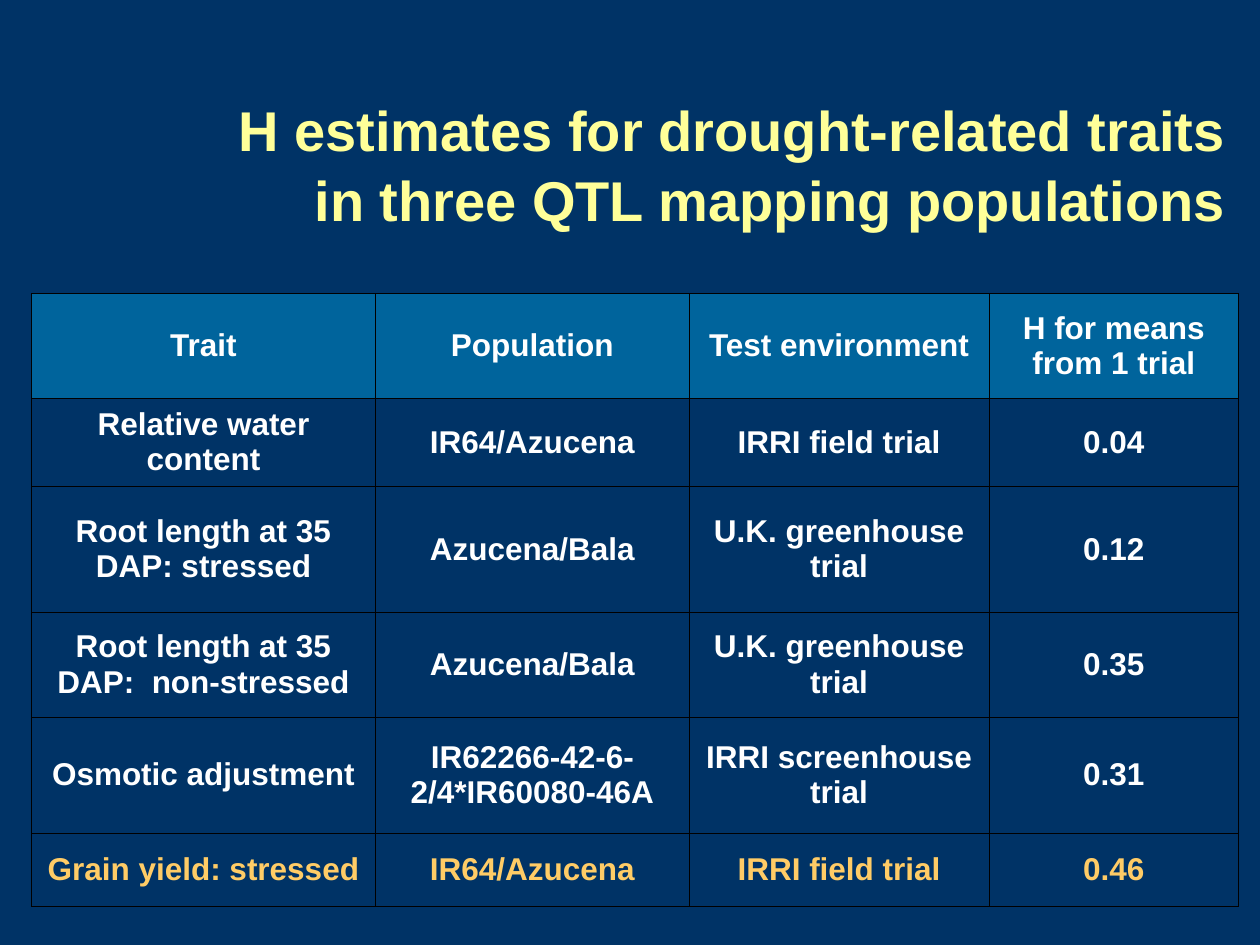
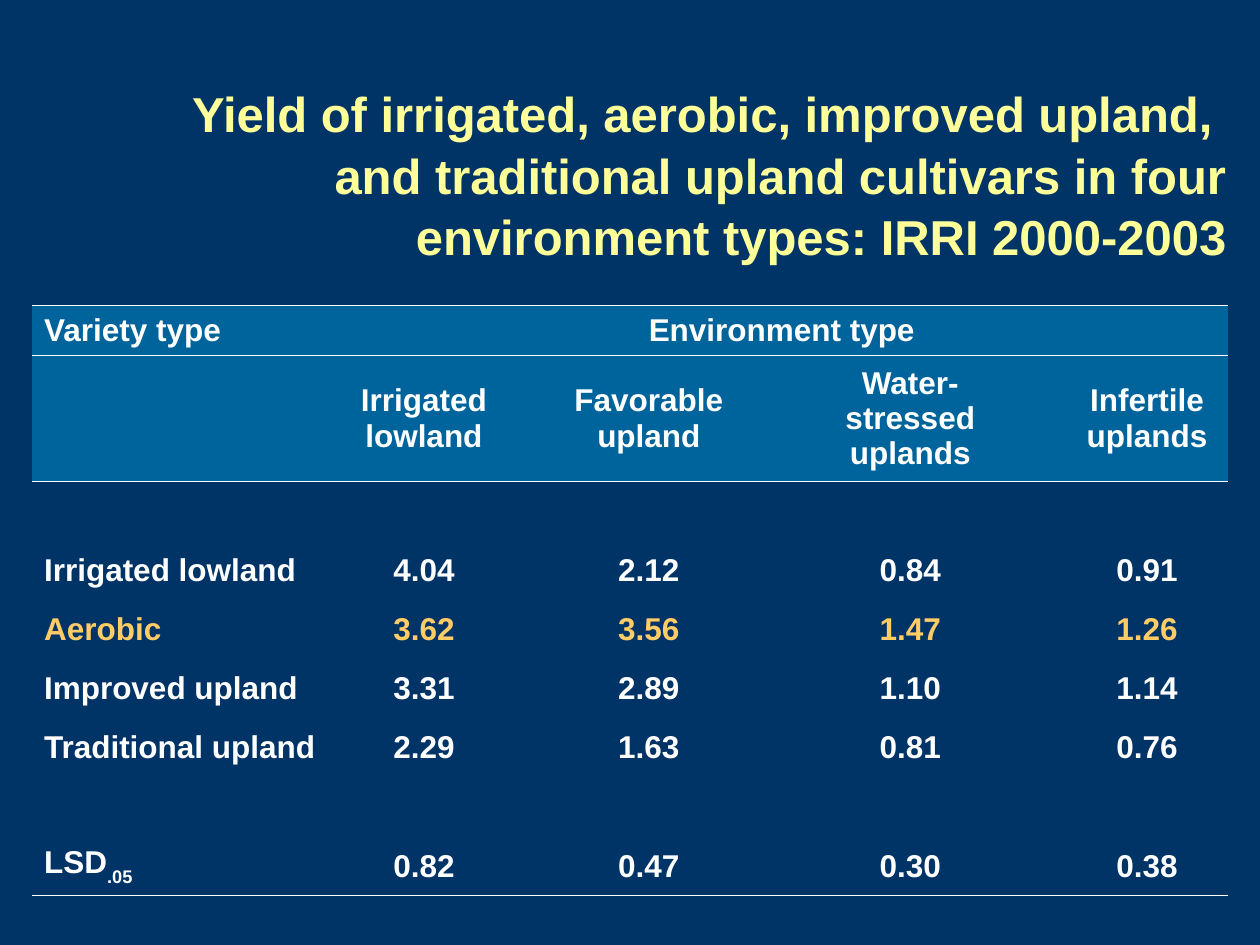
"""Builds two slides of drought-trait and upland rice yield tables."""
from lxml import etree
from pptx import Presentation
from pptx.dml.color import RGBColor
from pptx.enum.text import MSO_ANCHOR, PP_ALIGN
from pptx.oxml.ns import qn
from pptx.util import Inches, Pt

LEFT, CENTER, RIGHT = PP_ALIGN.LEFT, PP_ALIGN.CENTER, PP_ALIGN.RIGHT
MIDDLE = MSO_ANCHOR.MIDDLE

COLORS = {"background": "003366", "header": "00649C", "title": "FFFF99",
          "text": "FFFFFF", "highlight": "FFCC66", "grid": "000000", "rule": "FFFFFF"}
FONT = "Arial"
BODY_SIZE = 18

TRAITS = {
    "title": "H estimates for drought-related traits in three QTL mapping populations",
    "title_box": (1.33, 0.67, 8.5, 1.25),
    "title_size": 32,
    "origin": (0.25, 2.33),
    "cols": [2.73, 2.49, 2.38, 1.98],
    "row_heights": [0.83, 0.7, 1, 0.83, 0.92, 0.58],
    "rows": [
        ["Trait", "Population", "Test environment", "H for means from 1 trial"],
        ["Relative water content", "IR64/Azucena", "IRRI field trial", "0.04"],
        ["Root length at 35 DAP: stressed", "Azucena/Bala", "U.K. greenhouse trial", "0.12"],
        ["Root length at 35 DAP:  non-stressed", "Azucena/Bala", "U.K. greenhouse trial", "0.35"],
        ["Osmotic adjustment", "IR62266-42-6-2/4*IR60080-46A", "IRRI screenhouse trial", "0.31"],
        ["Grain yield: stressed", "IR64/Azucena", "IRRI field trial", "0.46"],
    ],
    "header_rows": 1,
    "highlight_row": 5,
    "first_col_align": CENTER,
    "grid": True,
}
YIELDS = {
    "title": "Yield of irrigated, aerobic, improved upland,  and traditional upland "
             "cultivars in four environment types: IRRI 2000-2003",
    "title_box": (0.75, 0.5, 9.08, 1.75),
    "title_size": 28,
    "origin": (0.25, 2.42),
    "cols": [2.41, 1.41, 2.16, 1.99, 0.24, 1.29],
    "row_heights": [0.4, 1] + [0.47] * 7,
    "rows": [
        ["Variety type", "Environment type", "", "", "", ""],
        ["", "Irrigated lowland", "Favorable upland", "Water-stressed uplands", "",
         "Infertile uplands"],
        [""] * 6,
        ["Irrigated lowland", "4.04", "2.12", "0.84", "", "0.91"],
        ["Aerobic", "3.62", "3.56", "1.47", "", "1.26"],
        ["Improved upland", "3.31", "2.89", "1.10", "", "1.14"],
        ["Traditional upland", "2.29", "1.63", "0.81", "", "0.76"],
        [""] * 6,
        [("LSD", ".05"), "0.82", "0.47", "0.30", "", "0.38"],
    ],
    "header_rows": 2,
    "highlight_row": 4,
    "first_col_align": LEFT,
    "grid": False,
    "merge": ((0, 1), (0, 5)),
}


def rgb(name):
    return RGBColor.from_string(COLORS[name])


def style_paragraph(p, size, color, align):
    p.alignment = align
    p.font.name, p.font.size, p.font.bold = FONT, Pt(size), True
    p.font.color.rgb = rgb(color)


def add_title(s, text, box, size):
    tf = s.shapes.add_textbox(*map(Inches, box)).text_frame
    tf.word_wrap, tf.vertical_anchor = True, MIDDLE
    p = tf.paragraphs[0]
    p.text = text
    p.line_spacing = 1.04
    style_paragraph(p, size, "title", RIGHT)


def set_borders(cell, borders):
    tcPr = cell._tc.get_or_add_tcPr()
    for i, side in enumerate("LRTB"):
        ln = etree.Element(qn(f"a:ln{side}"))
        if side in borders:
            color, width = borders[side]
            ln.set("w", str(Pt(width)))
            fill = etree.SubElement(ln, qn("a:solidFill"))
            etree.SubElement(fill, qn("a:srgbClr"), val=COLORS[color])
        else:
            etree.SubElement(ln, qn("a:noFill"))
        tcPr.insert(i, ln)


def cell_borders(data, row):
    if data["grid"]:
        return dict.fromkeys("LRTB", ("grid", 0.34))
    rule, header = ("rule", 0.45), data["header_rows"]
    sides = "T" if row <= header else ""
    if row < header or row == len(data["rows"]) - 1:
        sides += "B"
    return dict.fromkeys(sides, rule)


def fill_cell(cell, content, color, align):
    cell.vertical_anchor = MIDDLE
    p = cell.text_frame.paragraphs[0]
    if isinstance(content, tuple):
        base, subscript = content
        p.add_run().text = base
        r = p.add_run()
        r.text = subscript
        r.font._element.set("baseline", "-30000")
    else:
        p.text = content
    style_paragraph(p, BODY_SIZE, color, align)


def add_data_table(s, data):
    cols, heights = data["cols"], data["row_heights"]
    left, top = data["origin"]
    size = (len(heights), len(cols))
    table = s.shapes.add_table(*size, Inches(left), Inches(top),
                               Inches(sum(cols)), Inches(sum(heights))).table
    table.first_row = table.horz_banding = False
    for column, width in zip(table.columns, cols):
        column.width = Inches(width)
    for row, height in zip(table.rows, heights):
        row.height = Inches(height)
    for i, values in enumerate(data["rows"]):
        color = "highlight" if i == data["highlight_row"] else "text"
        for j, content in enumerate(values):
            cell = table.cell(i, j)
            fill_cell(cell, content, color, CENTER if j else data["first_col_align"])
            if i < data["header_rows"]:
                cell.fill.solid()
                cell.fill.fore_color.rgb = rgb("header")
            else:
                cell.fill.background()
            set_borders(cell, cell_borders(data, i))
    if "merge" in data:
        first, last = data["merge"]
        table.cell(*first).merge(table.cell(*last))


def main():
    prs = Presentation()
    prs.slide_width, prs.slide_height = Inches(10), Inches(7.5)
    for data in (TRAITS, YIELDS):
        s = prs.slides.add_slide(prs.slide_layouts[6])
        s.background.fill.solid()
        s.background.fill.fore_color.rgb = rgb("background")
        add_data_table(s, data)
        add_title(s, data["title"], data["title_box"], data["title_size"])
    prs.save("out.pptx")


if __name__ == "__main__":
    main()
